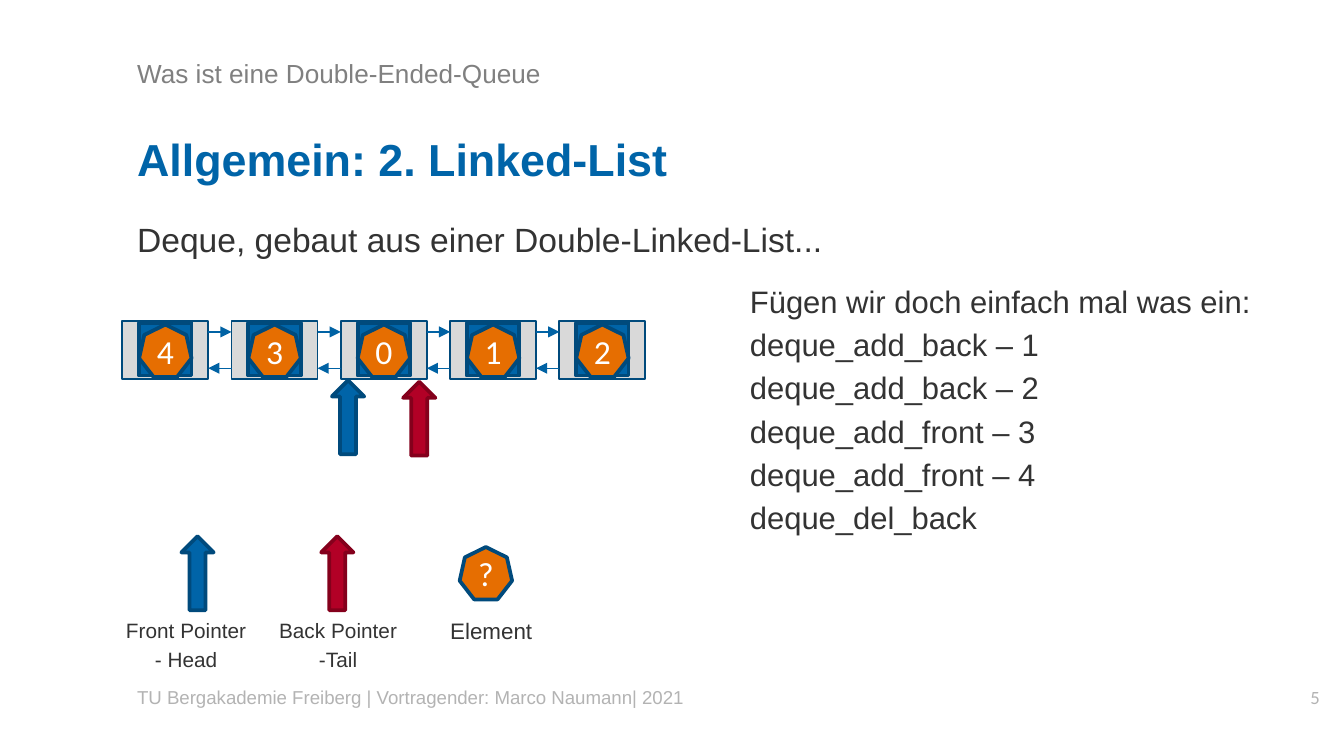
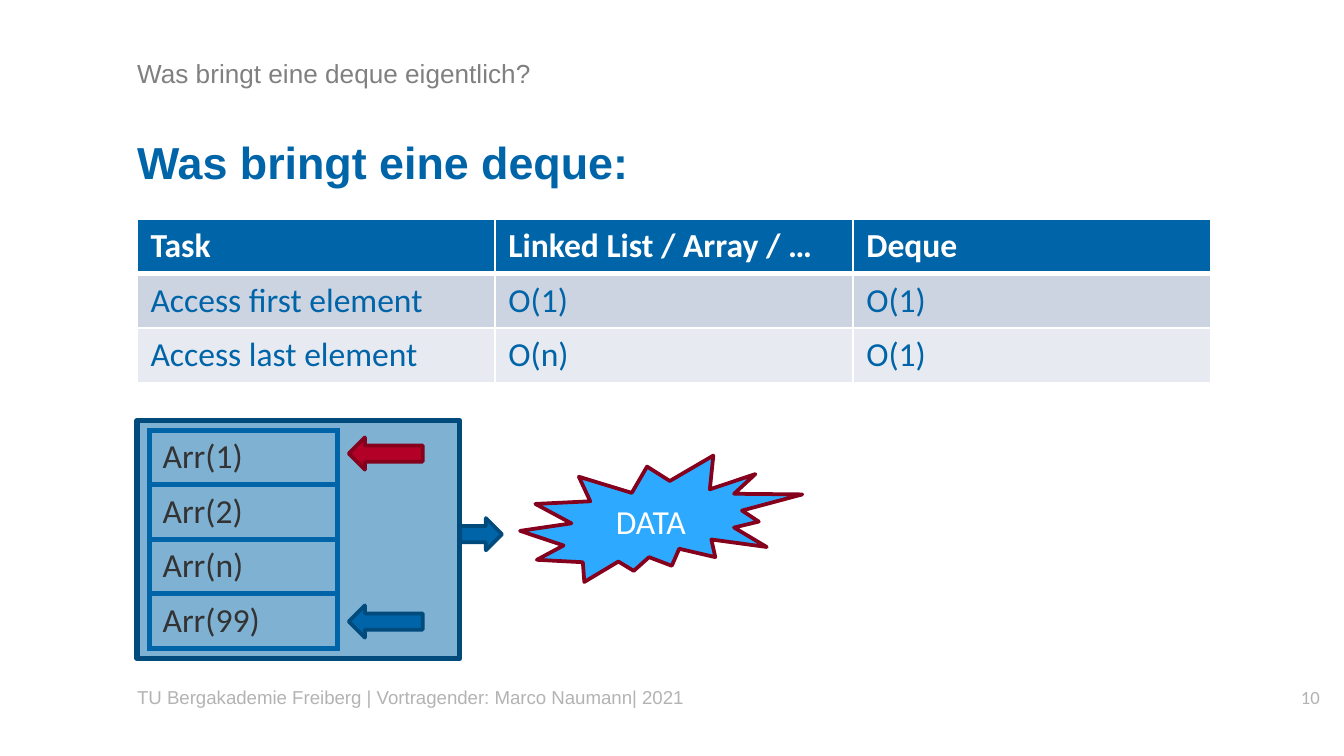
from lxml.etree import SubElement
from pptx import Presentation
from pptx.dml.color import RGBColor
from pptx.enum.shapes import MSO_CONNECTOR, MSO_SHAPE
from pptx.enum.text import MSO_ANCHOR, MSO_AUTO_SIZE, PP_ALIGN
from pptx.oxml import parse_xml
from pptx.oxml.ns import nsdecls, qn
from pptx.util import Inches, Pt

BLUE = RGBColor(0x00, 0x64, 0xA8)
DARK_BLUE = RGBColor(0x00, 0x4A, 0x7C)
LINK_BLUE = RGBColor(0x00, 0x62, 0xA4)
LIGHT_BLUE = RGBColor(0x2D, 0xAA, 0xFF)
RED = RGBColor(0xB2, 0x00, 0x26)
DARK_RED = RGBColor(0x84, 0x00, 0x1C)
ORANGE = RGBColor(0xE6, 0x6E, 0x01)
WHITE = RGBColor(0xFF, 0xFF, 0xFF)
NODE_GRAY = RGBColor(0xD9, 0xD9, 0xD9)
TITLE_GRAY = RGBColor(0x80, 0x80, 0x80)
FOOTER_GRAY = RGBColor(0xB3, 0xB3, 0xB3)
TEXT_GRAY = RGBColor(0x33, 0x33, 0x33)
BAND_DARK = RGBColor(0xCC, 0xD3, 0xE1)
BAND_LIGHT = RGBColor(0xE7, 0xEA, 0xF1)

TITLE = {"name": "Arial", "size": Pt(14), "bold": False}
HEADING = {"name": "Arial", "size": Pt(24), "bold": True}
LEAD = {"name": "Arial", "size": Pt(18), "bold": False}
CODE = {"name": "Arial", "size": Pt(16.6), "bold": False}
LABEL = {"name": "Arial", "size": Pt(11.1), "bold": False}
ELEMENT_LABEL = {"name": "Arial", "size": Pt(12), "bold": False}
FOOTER = {"name": "Arial", "size": Pt(10), "bold": False}
NUMBER = {"name": "Calibri", "size": Pt(10), "bold": False}
FIGURE = {"name": "Calibri", "size": Pt(18), "bold": False}
TABLE_HEAD = {"name": "Calibri", "size": Pt(18), "bold": True}

deck = Presentation()
deck.slide_width = Inches(10)
deck.slide_height = deck.slide_width * 9 // 16
GRID = deck.slide_width / 100
LEFT, WIDE = 10.2, 79.9


def write(box, place, lines, look, color, align=PP_ALIGN.LEFT, anchor=MSO_ANCHOR.TOP, gap=0.2):
    for side, value in zip(("left", "top", "width", "height"), place):
        setattr(box, side, round(value * GRID))
    frame = box.text_frame
    settings = {"word_wrap": True, "auto_size": MSO_AUTO_SIZE.NONE, "vertical_anchor": anchor,
                "margin_left": 0, "margin_right": 0, "margin_top": 0, "margin_bottom": 0}
    for name, value in settings.items():
        setattr(frame, name, value)
    for index, line in enumerate(lines):
        para = frame.paragraphs[0] if index == 0 else frame.add_paragraph()
        para.alignment = align
        para.space_before = Pt(round(look["size"].pt * gap, 1))
        properties = para._p.get_or_add_pPr()
        properties.set("marL", "0")
        properties.set("indent", "0")
        SubElement(properties, qn("a:buNone"))
        span = para.add_run()
        span.text = line
        for name, value in look.items():
            setattr(span.font, name, value)
        span.font.color.rgb = color


def draw(page, kind, place, fill, line, weight=2, text=None, turn=0):
    shape = page.shapes.add_shape(kind, *[round(value * GRID) for value in place])
    shape.shadow.inherit = False
    shape.rotation = turn
    shape.fill.solid()
    shape.fill.fore_color.rgb = fill
    shape.line.color.rgb = line
    shape.line.width = Pt(weight)
    if text:
        write(shape, place, [text], FIGURE, WHITE, PP_ALIGN.CENTER, MSO_ANCHOR.MIDDLE, 0)
    return shape


pages = []
for layout, number, title, heading, heading_top in (
    (3, "5", "Was ist eine Double-Ended-Queue", "Allgemein: 2. Linked-List", 9.8),
    (1, "10", "Was bringt eine deque eigentlich?", "Was bringt eine deque:", 10),
):
    page = deck.slides.add_slide(deck.slide_layouts[layout])
    write(page.shapes.title, (LEFT, 2, WIDE, 6.9), [title], TITLE, TITLE_GRAY,
          anchor=MSO_ANCHOR.MIDDLE, gap=0)
    write(page.placeholders[1], (LEFT, heading_top, WIDE, 4.7), [heading], HEADING, BLUE)
    write(page.shapes.add_textbox(0, 0, 0, 0), (LEFT, 51, WIDE, 3.9),
          ["TU Bergakademie Freiberg | Vortragender: Marco Naumann| 2021"], FOOTER, FOOTER_GRAY, gap=0)
    write(page.shapes.add_textbox(0, 0, 0, 0), (90.2, 51, 8, 4), [number], NUMBER, FOOTER_GRAY,
          PP_ALIGN.RIGHT, gap=0)
    pages.append(page)
list_page, benefit_page = pages

write(list_page.placeholders[2], (LEFT, 16.3, WIDE, 3.9),
      ["Deque, gebaut aus einer Double-Linked-List..."], LEAD, TEXT_GRAY)
write(list_page.shapes.add_textbox(0, 0, 0, 0), (55.8, 21, 42.5, 22.6),
      ["Fügen wir doch einfach mal was ein:", "deque_add_back – 1", "deque_add_back – 2",
       "deque_add_front – 3", "deque_add_front – 4", "deque_del_back"], CODE, TEXT_GRAY)

NODE_LEFT, NODE_TOP, NODE_WIDTH, NODE_STEP, ELEMENT = 9.1, 23.9, 6.4, 8.13, 3.9
for index, value in enumerate("43012"):
    left = NODE_LEFT + index * NODE_STEP
    draw(list_page, MSO_SHAPE.RECTANGLE, (left, NODE_TOP, NODE_WIDTH, 4.3), NODE_GRAY, DARK_BLUE, 1)
    draw(list_page, MSO_SHAPE.RECTANGLE, (left + 1.25, NODE_TOP + 0.15, ELEMENT, ELEMENT), BLUE, DARK_BLUE)
    draw(list_page, MSO_SHAPE.HEPTAGON, (left + 1.25, NODE_TOP + 0.25, ELEMENT, ELEMENT),
         ORANGE, DARK_BLUE, text=value)

for index in range(4):
    right = NODE_LEFT + index * NODE_STEP + NODE_WIDTH
    following = NODE_LEFT + (index + 1) * NODE_STEP
    for start, end, level in ((right, following, 24.7), (following, right, 27.4)):
        link = list_page.shapes.add_connector(
            MSO_CONNECTOR.STRAIGHT, *[round(value * GRID) for value in (start, level, end, level)])
        link.line.color.rgb = LINK_BLUE
        link.line.width = Pt(0.75)
        outline = link._element.spPr.find(qn("a:ln"))
        SubElement(outline, qn("a:tailEnd"), type="triangle")
        SubElement(link._element.spPr, qn("a:effectLst"))

for left, top, fill, line in ((24.7, 28.3, BLUE, DARK_BLUE), (30, 28.4, RED, DARK_RED),
                              (13.5, 39.9, BLUE, DARK_BLUE), (23.9, 39.9, RED, DARK_RED)):
    draw(list_page, MSO_SHAPE.UP_ARROW, (left, top, 2.4, 5.5), fill, line)
draw(list_page, MSO_SHAPE.HEPTAGON, (34.2, 40.7, ELEMENT, ELEMENT), ORANGE, DARK_BLUE, text="?")
for left, top, height, lines, look in ((8.6, 46, 3.9, ["Front Pointer", "- Head"], LABEL),
                                       (19.9, 46, 3.9, ["Back Pointer", "-Tail"], LABEL),
                                       (31.3, 45.9, 2.1, ["Element"], ELEMENT_LABEL)):
    write(list_page.shapes.add_textbox(0, 0, 0, 0), (left, top, 10.5, height), lines, look,
          TEXT_GRAY, PP_ALIGN.CENTER)

draw(benefit_page, MSO_SHAPE.UP_ARROW, (34.6, 38.2, 2.4, 3.1), BLUE, DARK_BLUE, turn=90)
container = draw(benefit_page, MSO_SHAPE.RECTANGLE, (LEFT, 31.3, 24, 17.7), BLUE, DARK_BLUE, 3)
container_color = container._element.spPr.find(qn("a:solidFill")).find(qn("a:srgbClr"))
SubElement(container_color, qn("a:alpha"), val="50000")

complexity = [("Task", "Linked List / Array / …", "Deque"),
              ("Access first element", "O(1)", "O(1)"),
              ("Access last element", "O(n)", "O(1)")]
array = [("Arr(1)",), ("Arr(2)",), ("Arr(n)",), ("Arr(99)",)]
plain = (None, TEXT_GRAY, FIGURE)
ROW_HEIGHT = 4.06
for rows, left, top, width, border, weight, looks in (
    (complexity, LEFT, 16.3, WIDE, WHITE, 1,
     [(BLUE, WHITE, TABLE_HEAD), (BAND_DARK, BLUE, FIGURE), (BAND_LIGHT, BLUE, FIGURE)]),
    (array, 11.1, 32, 14, BLUE, 3, [plain] * len(array)),
):
    place = (left, top, width, ROW_HEIGHT * len(rows))
    table = benefit_page.shapes.add_table(
        len(rows), len(rows[0]), *[round(value * GRID) for value in place]).table
    table.first_row = table.horz_banding = False
    for row, (texts, (fill, color, look)) in enumerate(zip(rows, looks)):
        for column, text in enumerate(texts):
            cell = table.cell(row, column)
            cell.text = text
            font = cell.text_frame.paragraphs[0].runs[0].font
            for name, value in look.items():
                setattr(font, name, value)
            font.color.rgb = color
            if fill is None:
                cell.fill.background()
            else:
                cell.fill.solid()
                cell.fill.fore_color.rgb = fill
            head_edge = "B" if row == 0 else "T" if row == 1 else ""
            for position, side in enumerate("LRTB"):
                thickness = Pt(3 if side == head_edge else weight)
                cell._tc.get_or_add_tcPr().insert(position, parse_xml(
                    f'<a:ln{side} {nsdecls("a")} w="{thickness}"><a:solidFill>'
                    f'<a:srgbClr val="{border}"/></a:solidFill></a:ln{side}>'))

for top, fill, line in ((31, RED, DARK_RED), (43.5, BLUE, DARK_BLUE)):
    draw(benefit_page, MSO_SHAPE.UP_ARROW, (27.5, top, 2.4, 5.5), fill, line, turn=270)
draw(benefit_page, MSO_SHAPE.EXPLOSION2, (38.7, 33.9, 21, 9.4), LIGHT_BLUE, DARK_RED, text="DATA")

deck.save("out.pptx")
